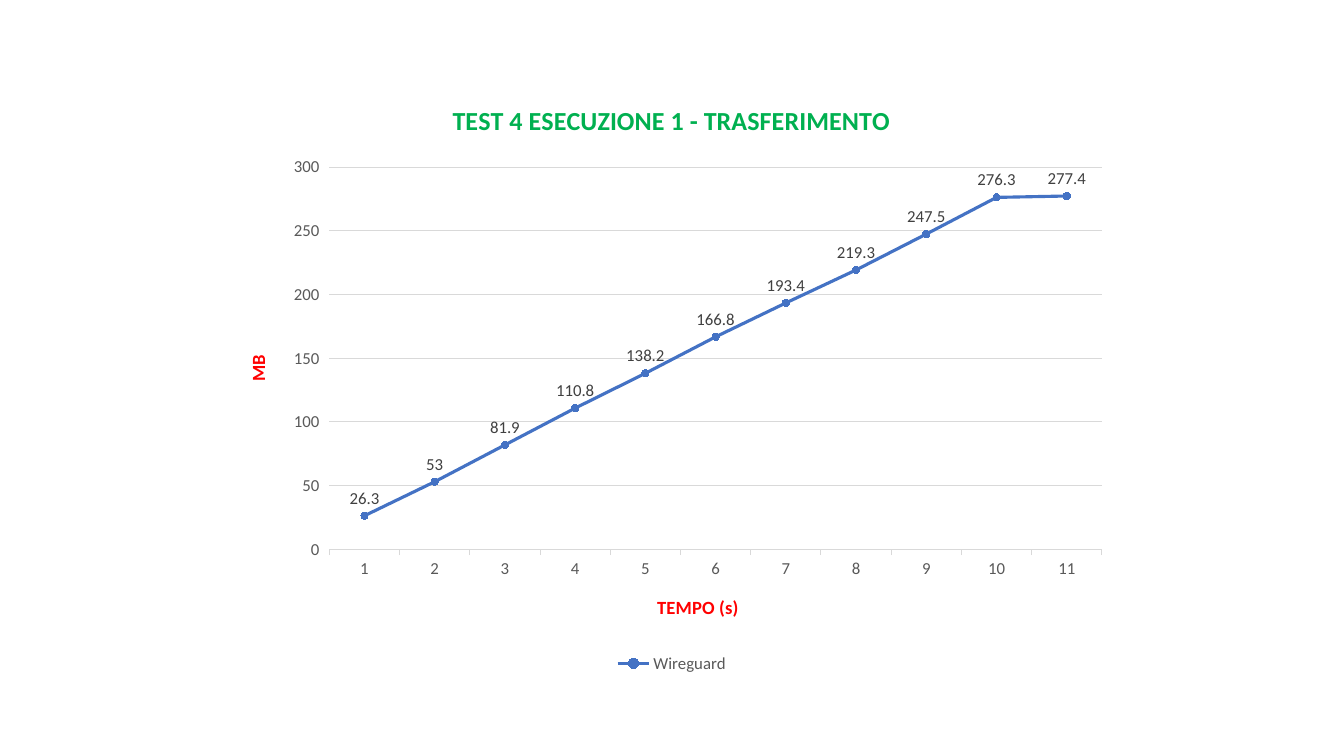
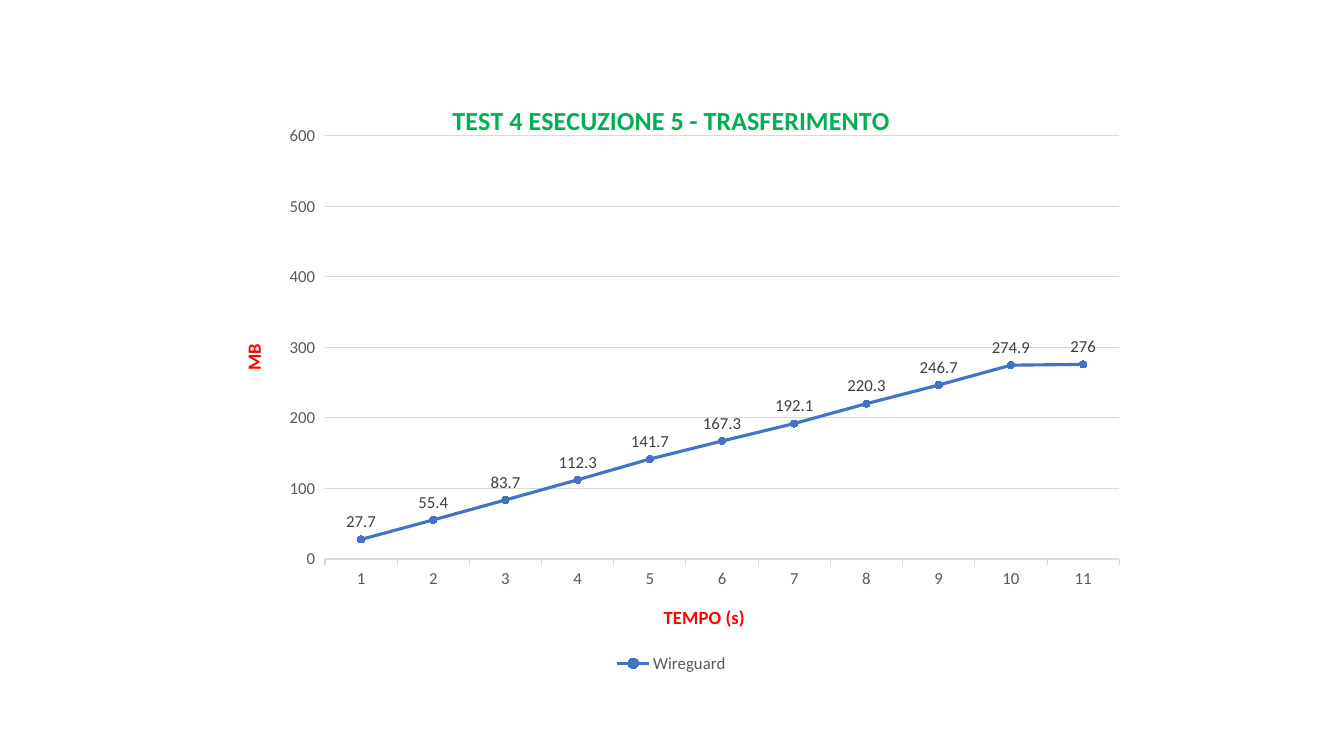
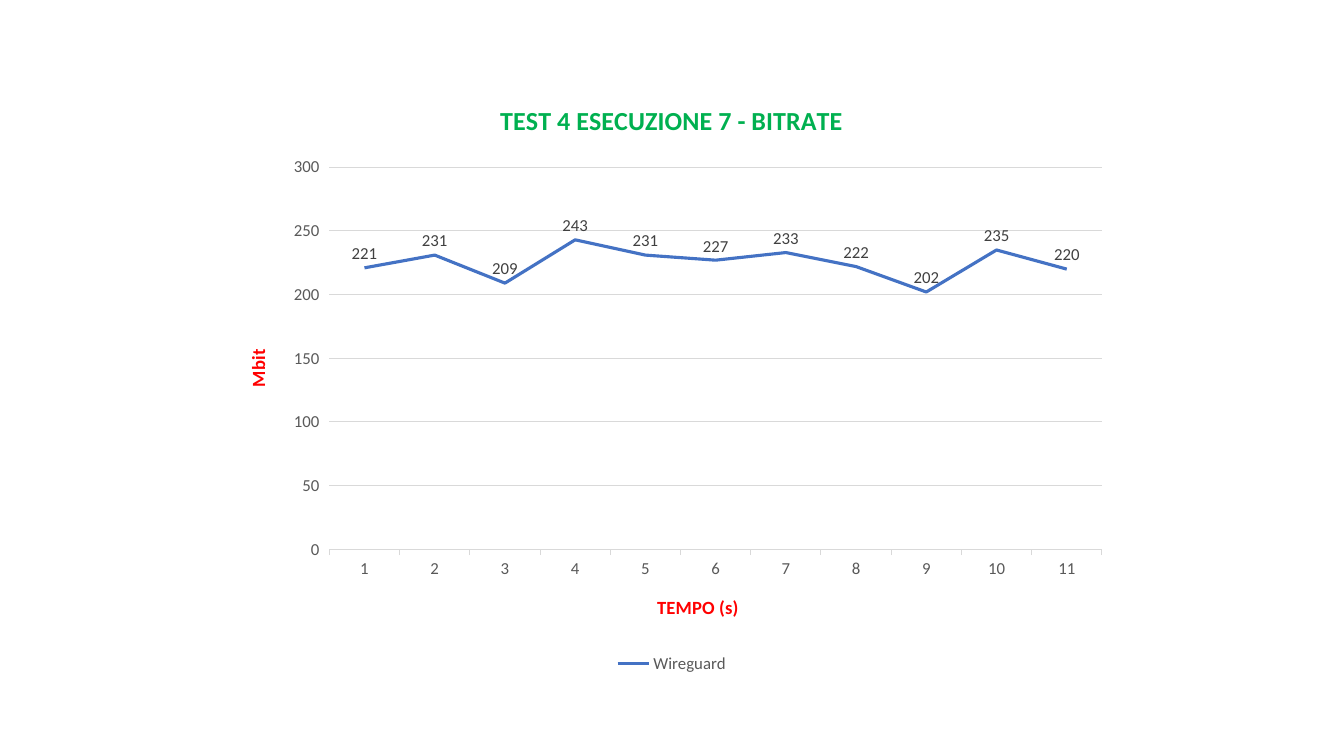
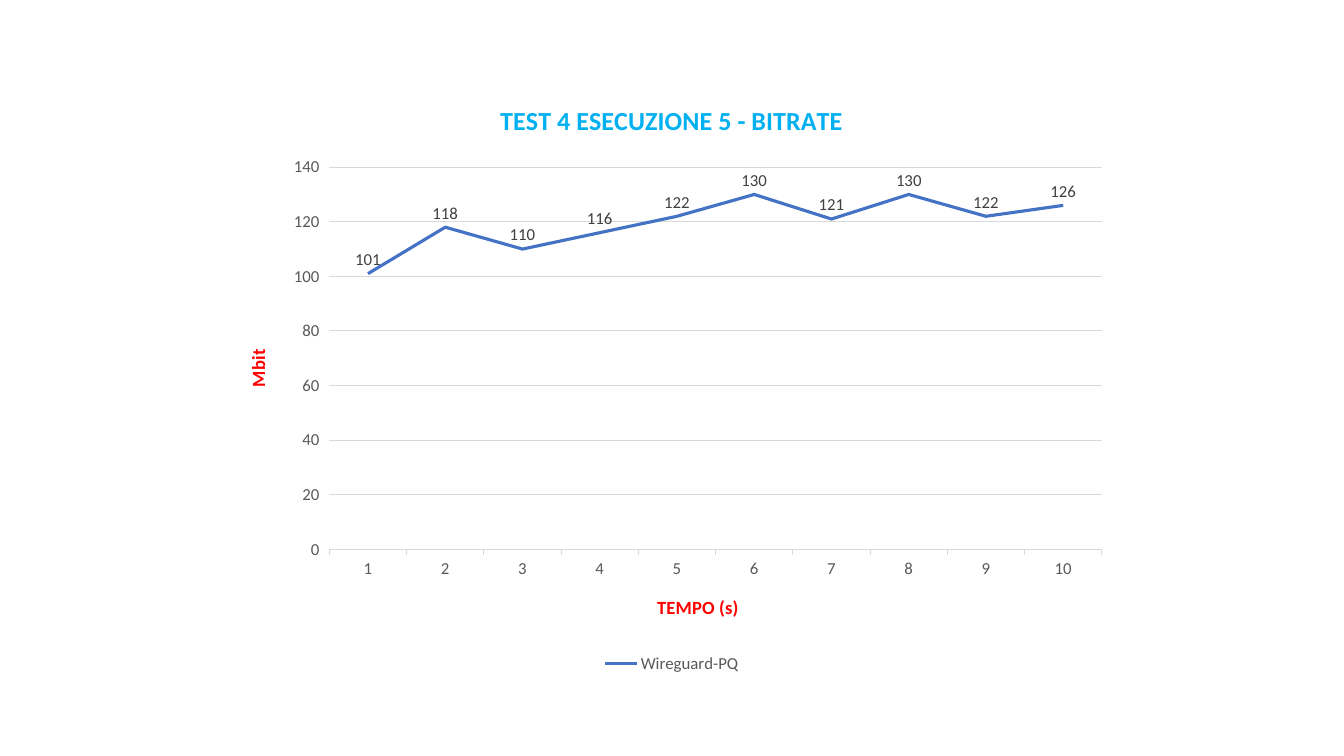
from dataclasses import dataclass

from lxml.etree import SubElement
from pptx import Presentation
from pptx.chart.data import CategoryChartData
from pptx.dml.color import RGBColor
from pptx.enum.chart import (
    XL_CHART_TYPE as ChartType,
    XL_LABEL_POSITION as LabelPosition,
    XL_LEGEND_POSITION as LegendPosition,
    XL_MARKER_STYLE as MarkerStyle,
    XL_TICK_MARK as TickMark,
)
from pptx.oxml.ns import qn
from pptx.util import Cm, Pt


@dataclass(frozen=True)
class Theme:
    font: str = "Calibri"
    wireguard: str = "00B050"
    post_quantum: str = "00B0F0"
    axis_title: str = "FF0000"
    text: str = "595959"
    label: str = "404040"
    grid: str = "D9D9D9"
    series: str = "4472C4"
    title_size: float = 18.6
    axis_title_size: float = 13.3
    text_size: float = 12
    grid_width: float = 0.75
    series_width: float = 2.25
    marker_size: int = 5


theme = Theme()


def style_font(font, size, color, bold=False):
    font.name = theme.font
    font.size = Pt(size)
    font.bold = bold
    font.color.rgb = RGBColor.from_string(color)


def style_line(line, color, width):
    line.color.rgb = RGBColor.from_string(color)
    line.width = Pt(width)


# Test results: one chart per slide
transfer = {"unit": "MB", "type": ChartType.LINE_MARKERS, "minimum": 0}
bitrate = {"unit": "Mbit", "type": ChartType.LINE}
wireguard = {"name": "Wireguard", "color": theme.wireguard}
post_quantum = {"name": "Wireguard-PQ", "color": theme.post_quantum}

tests = [
    {
        **transfer, **wireguard,
        "title": "TEST 4 ESECUZIONE 1 - TRASFERIMENTO",
        "values": [26.3, 53, 81.9, 110.8, 138.2, 166.8, 193.4, 219.3, 247.5, 276.3, 277.4],
    },
    {
        **transfer, **wireguard,
        "title": "TEST 4 ESECUZIONE 5 - TRASFERIMENTO",
        "values": [27.7, 55.4, 83.7, 112.3, 141.7, 167.3, 192.1, 220.3, 246.7, 274.9, 276],
        "maximum": 600,
        "plot": {"x": 0.113, "y": 0.094, "w": 0.887, "h": 0.708},
    },
    {
        **bitrate, **wireguard,
        "title": "TEST 4 ESECUZIONE 7 - BITRATE",
        "values": [221, 231, 209, 243, 231, 227, 233, 222, 202, 235, 220],
    },
    {
        **bitrate, **post_quantum,
        "title": "TEST 4 ESECUZIONE 5 - BITRATE",
        "values": [101, 118, 110, 116, 122, 130, 121, 130, 122, 126],
    },
]

deck = Presentation()
deck.slide_width, deck.slide_height = Cm(33.87), Cm(19.05)
blank_layout = deck.slide_layouts[6]

for test in tests:
    slide = deck.slides.add_slide(blank_layout)

    # Chart and its data
    data = CategoryChartData()
    data.categories = [str(second) for second in range(1, len(test["values"]) + 1)]
    data.add_series(test["name"], test["values"])
    chart = slide.shapes.add_chart(
        test["type"], Cm(5.64), Cm(2.01), Cm(22.58), Cm(15.06), data
    ).chart
    style_font(chart.font, theme.text_size, theme.text)

    # Chart title
    chart.has_title = True
    title_frame = chart.chart_title.text_frame
    title_frame.text = test["title"]
    style_font(title_frame.paragraphs[0].font, theme.title_size, test["color"], True)

    # Axes
    time_axis, value_axis = chart.category_axis, chart.value_axis
    for axis, caption in ((time_axis, "TEMPO (s)"), (value_axis, test["unit"])):
        axis.has_title = True
        caption_frame = axis.axis_title.text_frame
        caption_frame.text = caption
        style_font(caption_frame.paragraphs[0].font,
                   theme.axis_title_size, theme.axis_title, True)
        style_font(axis.tick_labels.font, theme.text_size, theme.text)
        axis.major_tick_mark = TickMark.OUTSIDE
        axis.minor_tick_mark = TickMark.NONE
    caption_frame._txBody.bodyPr.set("rot", "-5400000")
    style_line(time_axis.format.line, theme.grid, theme.grid_width)
    value_axis.format.line.fill.background()
    value_axis.has_major_gridlines = True
    style_line(value_axis.major_gridlines.format.line, theme.grid, theme.grid_width)
    value_axis.minimum_scale = test.get("minimum")
    value_axis.maximum_scale = test.get("maximum")

    # Legend
    chart.has_legend = True
    chart.legend.position = LegendPosition.BOTTOM
    chart.legend.include_in_layout = False
    style_font(chart.legend.font, theme.text_size, theme.text)

    # Series line, markers and value labels
    plot = chart.plots[0]
    plot.vary_by_categories = False
    series = plot.series[0]
    series.smooth = False
    style_line(series.format.line, theme.series, theme.series_width)
    if test["type"] == ChartType.LINE_MARKERS:
        marker = series.marker
        marker.style = MarkerStyle.CIRCLE
        marker.size = theme.marker_size
        marker.format.fill.solid()
        marker.format.fill.fore_color.rgb = RGBColor.from_string(theme.series)
        style_line(marker.format.line, theme.series, theme.grid_width)
    labels = series.data_labels
    labels.show_value = True
    labels.position = LabelPosition.ABOVE
    style_font(labels.font, theme.text_size, theme.label)

    # Fixed plot area, as fractions of the chart
    if "plot" in test:
        plot_area = chart._chartSpace.chart.plotArea
        for layout in plot_area.findall(qn("c:layout")):
            plot_area.remove(layout)
        layout = SubElement(plot_area, qn("c:layout"))
        plot_area.insert(0, layout)
        manual = SubElement(layout, qn("c:manualLayout"))
        settings = {"layoutTarget": "inner", "xMode": "edge", "yMode": "edge", **test["plot"]}
        for tag, value in settings.items():
            SubElement(manual, qn(f"c:{tag}")).set("val", str(value))

deck.save("out.pptx")
